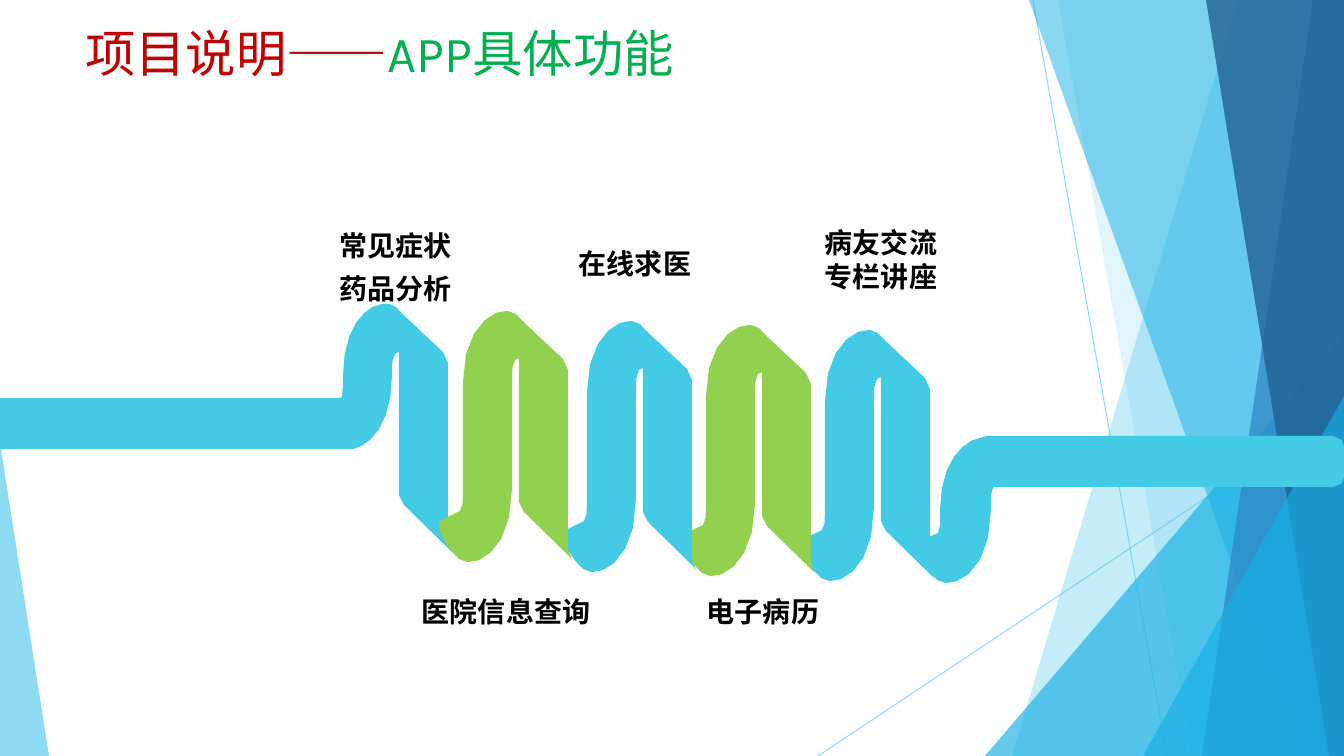
"""Build a slide showing app functions along a coiled ribbon."""
import math

import lxml.etree
import pptx
import pptx.dml.color
import pptx.enum.shapes
import pptx.enum.text
import pptx.oxml.ns
import pptx.util

PX = 914400 / 100.8
SLIDE_SIZE = (1344, 756)
CURVE_STEP = 14
MAX_CURVE_STEPS = 6
COLORS = {
    "sky": "5FCBEF", "azure": "17B0E4", "blue": "2E83C3", "navy": "226292",
    "ribbon": "43CAE5", "green": "92D050", "title_red": "C00000",
    "title_green": "00B050", "black": "000000",
}

TITLE = [[("项目说明——", "title_red"), ("APP具体功能", "title_green")]]
TITLE_BOX = (75, 17, 948, 145)
LABELS = [
    (["常见症状", "药品分析"], (285, 213, 221, 94),
     {"font": "Arial", "align": "CENTER", "spacing": 1.3}),
    (["医院信息查询"], (412, 590, 206, 44), {}),
    (["在线求医"], (569, 242, 206, 44), {}),
    (["电子病历"], (697, 590, 221, 44), {}),
    (["病友交流", "专栏讲座"], (815, 221, 221, 78), {}),
]

BACKGROUND_LINES = [(1033, 0, 1167, 756), (1344, 406, 818, 756)]
BACKGROUND = [
    ("band", (1238, 1012), "sky", 36),
    ("band", (1058, 1192), "sky", 20),
    ("triangle", (985, 336, 359, 420, 1), "azure", 66),
    ("band", (1029, 1301), "azure", 50),
    ("band", (1313, 1202), "blue", 70),
    ("band", (1206, 1329), "navy", 80),
    ("triangle", (1143, 396, 201, 360, 1), "azure", 66),
    ("triangle", (0, 443, 49, 313, 0), "sky", 70),
]

# Two numbers are a line to a point; six are a cubic curve.
OUTRO = [
    (987, 436), (1333, 436), (1340, 436, 1345, 442, 1345, 449), (1345, 475),
    (1345, 482, 1340, 487, 1333, 487), (994, 487), (993, 488),
    (990, 490, 991, 498, 991, 510), (991, 575, 951, 591, 937, 580),
    (928, 573, 915, 553, 917, 544), (920, 537, 929, 541, 938, 533),
    (941, 530, 940, 522, 940, 510), (940, 462, 964, 440, 980, 438),
    (987, 436),
]
INTRO = [
    (382, 304), (387, 303, 392, 304, 396, 307), (404, 314, 418, 334, 415, 343),
    (413, 349, 404, 345, 395, 354), (392, 357, 392, 364, 392, 376),
    (392, 424, 370, 446, 353, 449), (0, 449), (0, 398), (341, 398), (342, 396),
    (343, 392, 343, 385, 343, 376), (343, 328, 365, 306, 382, 304),
]
COIL = [
    (874, 508), (874, 402), (874, 390, 874, 382, 877, 379),
    (886, 371, 895, 375, 897, 368), (900, 359, 886, 340, 878, 333),
    (865, 322, 825, 338, 825, 401), (825, 508),
    (825, 520, 825, 528, 822, 530), (812, 539, 803, 535, 801, 541),
    (798, 551, 812, 570, 821, 578), (835, 589, 874, 573, 874, 508),
]
STRIP = [
    (930, 569), (930, 389), (930, 387, 930, 383, 925, 378),
    (877, 333), (878, 334, 881, 337, 881, 342), (881, 521),
    (881, 523, 881, 527, 886, 531), (934, 578),
    (933, 577, 930, 574, 930, 569),
]
INTRO_STRIP_SHIFT = (-482, -26)
LOOPS = [
    ((0, 0), "ribbon"), ((-119, -5), "green"),
    ((-238, -9), "ribbon"), ((-362, -19), "green"),
]


def emu(*lengths):
    return [pptx.util.Emu(round(length * PX)) for length in lengths]


def rgb(name):
    return pptx.dml.color.RGBColor.from_string(COLORS[name])


def set_alpha(element, percent):
    for color in element.iter(pptx.oxml.ns.qn("a:srgbClr")):
        alpha = lxml.etree.SubElement(color, pptx.oxml.ns.qn("a:alpha"))
        alpha.set("val", str(percent * 1000))


def paint(shape, color, opacity=100):
    shape.shadow.inherit = False
    shape.fill.solid()
    shape.fill.fore_color.rgb = rgb(color)
    shape.line.fill.background()
    if opacity < 100:
        set_alpha(shape._element.spPr, opacity)


def flatten(outline):
    points = [outline[0]]
    for step in outline[1:]:
        if len(step) == 2:
            points.append(step)
            continue
        controls = [points[-1], step[:2], step[2:4], step[4:]]
        chord = math.dist(controls[0], controls[3])
        count = min(MAX_CURVE_STEPS, math.ceil(chord / CURVE_STEP))
        for index in range(1, count + 1):
            t = index / count
            weights = ((1 - t) ** 3, 3 * t * (1 - t) ** 2, 3 * t * t * (1 - t), t ** 3)
            points.append(tuple(
                sum(w * point[axis] for w, point in zip(weights, controls))
                for axis in (0, 1)))
    return points


def add_outline(slide, outline, color, shift=(0, 0), opacity=100):
    points = [emu(x + shift[0], y + shift[1]) for x, y in flatten(outline)]
    builder = slide.shapes.build_freeform(*points[0])
    builder.add_line_segments(points[1:], close=True)
    paint(builder.convert_to_shape(), color, opacity)


def write_text(shape, paragraphs, *, size, font, bold=False, align="LEFT", spacing=None):
    frame = shape.text_frame
    frame.word_wrap = True
    frame.auto_size = pptx.enum.text.MSO_AUTO_SIZE.NONE
    frame.vertical_anchor = pptx.enum.text.MSO_ANCHOR.TOP
    for index, runs in enumerate(paragraphs):
        paragraph = frame.add_paragraph() if index else frame.paragraphs[0]
        paragraph.alignment = getattr(pptx.enum.text.PP_ALIGN, align)
        paragraph.line_spacing = spacing
        for text, color in runs:
            run = paragraph.add_run()
            run.text = text
            run.font.size = pptx.util.Pt(size)
            run.font.name = font
            run.font.bold = bold
            run.font.color.rgb = rgb(color)


def add_background(slide):
    width, height = SLIDE_SIZE
    for line_ends in BACKGROUND_LINES:
        line = slide.shapes.add_connector(
            pptx.enum.shapes.MSO_CONNECTOR.STRAIGHT, *emu(*line_ends))
        line.line.color.rgb = rgb("sky")
        line.line.width = pptx.util.Pt(0.75)
        properties = line._element.spPr
        set_alpha(properties, 70)
        lxml.etree.SubElement(properties, pptx.oxml.ns.qn("a:effectLst"))
    for kind, place, color, opacity in BACKGROUND:
        if kind == "band":
            top, bottom = place
            corners = [(top, 0), (width, 0), (width, height), (bottom, height)]
            add_outline(slide, corners, color, opacity=opacity)
        else:
            triangle = slide.shapes.add_shape(
                pptx.enum.shapes.MSO_SHAPE.ISOSCELES_TRIANGLE, *emu(*place[:4]))
            triangle.adjustments[0] = place[4]
            paint(triangle, color, opacity)


def add_ribbon(slide):
    add_outline(slide, OUTRO, "ribbon")
    add_outline(slide, INTRO, "ribbon")
    add_outline(slide, STRIP, "ribbon", INTRO_STRIP_SHIFT)
    for shift, color in LOOPS:
        for outline in (COIL, STRIP):
            add_outline(slide, outline, color, shift)


def main():
    presentation = pptx.Presentation()
    presentation.slide_width, presentation.slide_height = emu(*SLIDE_SIZE)
    slide = presentation.slides.add_slide(presentation.slide_layouts[5])
    add_background(slide)
    title = slide.shapes.title
    title.left, title.top, title.width, title.height = emu(*TITLE_BOX)
    write_text(title, TITLE, size=36, font="Karla")
    add_ribbon(slide)
    for lines, box, options in LABELS:
        label = slide.shapes.add_textbox(*emu(*box))
        style = {"size": 20, "font": "Karla", "bold": True, **options}
        write_text(label, [[(line, "black")] for line in lines], **style)
    presentation.save("out.pptx")


if __name__ == "__main__":
    main()
